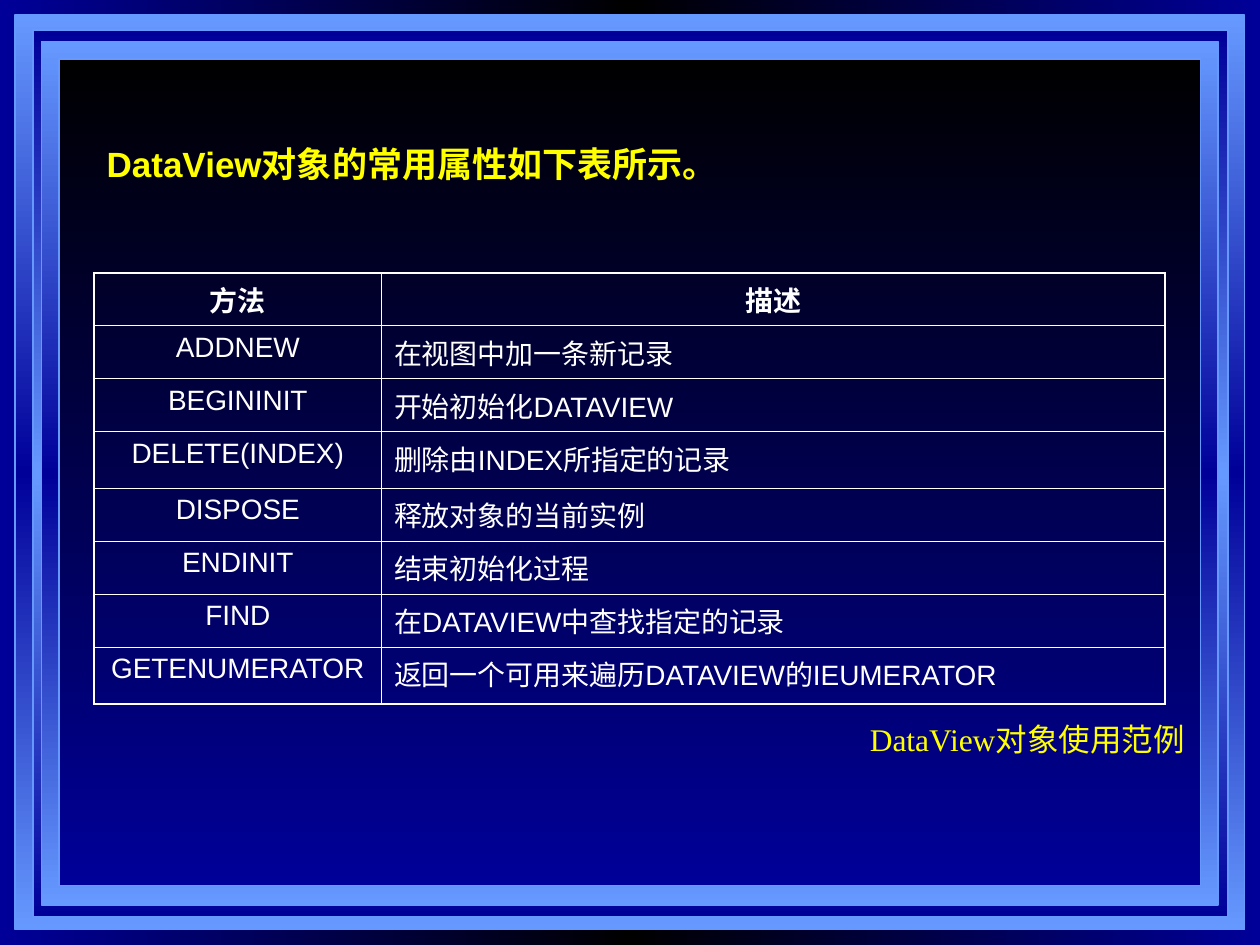
"""Builds the slide listing the common DataView methods."""
from dataclasses import dataclass

from lxml.etree import SubElement
from pptx import Presentation
from pptx.dml.color import RGBColor
from pptx.enum.shapes import MSO_SHAPE
from pptx.enum.text import MSO_ANCHOR, PP_ALIGN
from pptx.oxml.ns import qn
from pptx.util import Cm, Pt

SKY, NAVY, BLACK, WHITE, YELLOW = "6699FF", "000099", "000000", "FFFFFF", "FFFF00"
THICK, THIN = 1.08, 0.45


@dataclass(frozen=True)
class Frame:
    left: float
    top: float
    width: float
    height: float
    colors: tuple[str, ...]


@dataclass(frozen=True)
class Label:
    left: float
    top: float
    width: float
    height: float
    text: str
    align: PP_ALIGN
    anchor: MSO_ANCHOR
    font: dict


@dataclass(frozen=True)
class Method:
    name: str
    description: str
    height: float = 0.97


FRAMES = (
    Frame(0.3, 0.3, 24.79, 18.44, (SKY, NAVY, SKY)),
    Frame(0.66, 0.61, 24.1, 17.88, (NAVY, SKY, NAVY)),
    Frame(0.84, 0.84, 23.72, 17.4, (SKY, NAVY, SKY)),
    Frame(1.19, 1.19, 23.01, 16.66, (BLACK, NAVY)),
)
LABELS = (
    Label(1.9, 1.7, 21.59, 3.18, "DataView对象的常用属性如下表所示。", PP_ALIGN.LEFT,
          MSO_ANCHOR.MIDDLE, {"name": "Arial", "size": Pt(20), "bold": True}),
    Label(12.9, 14.4, 11.23, 1.02, "DataView对象使用范例", PP_ALIGN.RIGHT,
          MSO_ANCHOR.TOP, {"name": "Times New Roman", "size": Pt(18), "bold": False}),
)
METHODS = (
    Method("方法", "描述"),
    Method("ADDNEW", "在视图中加一条新记录"),
    Method("BEGININIT", "开始初始化DATAVIEW"),
    Method("DELETE(INDEX)", "删除由INDEX所指定的记录", 1.14),
    Method("DISPOSE", "释放对象的当前实例"),
    Method("ENDINIT", "结束初始化过程"),
    Method("FIND", "在DATAVIEW中查找指定的记录"),
    Method("GETENUMERATOR", "返回一个可用来遍历DATAVIEW的IEUMERATOR", 1.14),
)
COLUMNS = (5.79, 15.8)


def rgb(color: str) -> RGBColor:
    return RGBColor.from_string(color)


def set_gradient(fill, owner, colors: tuple[str, ...], degrees: int) -> None:
    fill.gradient()
    gradient = next(owner.iter(qn("a:gradFill")))
    stops = gradient.find(qn("a:gsLst"))
    stops.clear()
    for index, color in enumerate(colors):
        position = 100000 * index // (len(colors) - 1)
        stop = SubElement(stops, qn("a:gs"), pos=str(position))
        SubElement(stop, qn("a:srgbClr"), val=color)
    gradient.find(qn("a:lin")).set("ang", str(degrees * 60000))


def write(text_frame, text: str, align: PP_ALIGN, color: str, font: dict) -> None:
    paragraph = text_frame.paragraphs[0]
    paragraph.alignment = align
    run = paragraph.add_run()
    run.text = text
    for attribute, value in font.items():
        setattr(run.font, attribute, value)
    run.font.color.rgb = rgb(color)


def draw_frame(slide, frame: Frame) -> None:
    border = slide.shapes.add_shape(
        MSO_SHAPE.RECTANGLE, Cm(frame.left), Cm(frame.top), Cm(frame.width), Cm(frame.height))
    border.shadow.inherit = False
    set_gradient(border.fill, border.element, frame.colors, 90)
    border.line.color.rgb = rgb(SKY)
    border.line.width = Pt(1)


def draw_label(slide, label: Label) -> None:
    box = slide.shapes.add_textbox(
        Cm(label.left), Cm(label.top), Cm(label.width), Cm(label.height))
    box.text_frame.word_wrap = True
    box.text_frame.vertical_anchor = label.anchor
    write(box.text_frame, label.text, label.align, YELLOW, label.font)


def set_borders(cell, widths: dict[str, float]) -> None:
    properties = cell._tc.get_or_add_tcPr()
    for index, (side, width) in enumerate(widths.items()):
        border = SubElement(properties, qn(f"a:{side}"), w=str(Pt(width)))
        properties.insert(index, border)
        solid = SubElement(border, qn("a:solidFill"))
        SubElement(solid, qn("a:srgbClr"), val=WHITE)


def draw_methods(slide, methods: tuple[Method, ...]) -> None:
    table = slide.shapes.add_table(
        len(methods), len(COLUMNS), Cm(1.9), Cm(5.5), Cm(sum(COLUMNS)),
        Cm(sum(method.height for method in methods))).table
    table.first_row = table.horz_banding = False
    for column, width in zip(table.columns, COLUMNS):
        column.width = Cm(width)
    last = len(methods) - 1
    for row, method in enumerate(methods):
        table.rows[row].height = Cm(method.height)
        for column, text in enumerate((method.name, method.description)):
            cell = table.cell(row, column)
            cell.fill.background()
            centred = row == 0 or column == 0
            write(cell.text_frame, text, PP_ALIGN.CENTER if centred else PP_ALIGN.LEFT,
                  WHITE, {"name": "Arial", "size": Pt(16), "bold": row == 0})
            set_borders(cell, {
                "lnL": THICK if column == 0 else THIN,
                "lnR": THICK if column == 1 else THIN,
                "lnT": THICK if row == 0 else THIN,
                "lnB": THICK if row == last else THIN,
            })


def main() -> None:
    presentation = Presentation()
    presentation.slide_width, presentation.slide_height = Cm(25.4), Cm(19.05)
    slide = presentation.slides.add_slide(presentation.slide_layouts[6])
    set_gradient(slide.background.fill, slide.element, (NAVY, BLACK, NAVY), 180)
    for frame in FRAMES:
        draw_frame(slide, frame)
    draw_methods(slide, METHODS)
    for label in LABELS:
        draw_label(slide, label)
    presentation.save("out.pptx")


if __name__ == "__main__":
    main()
